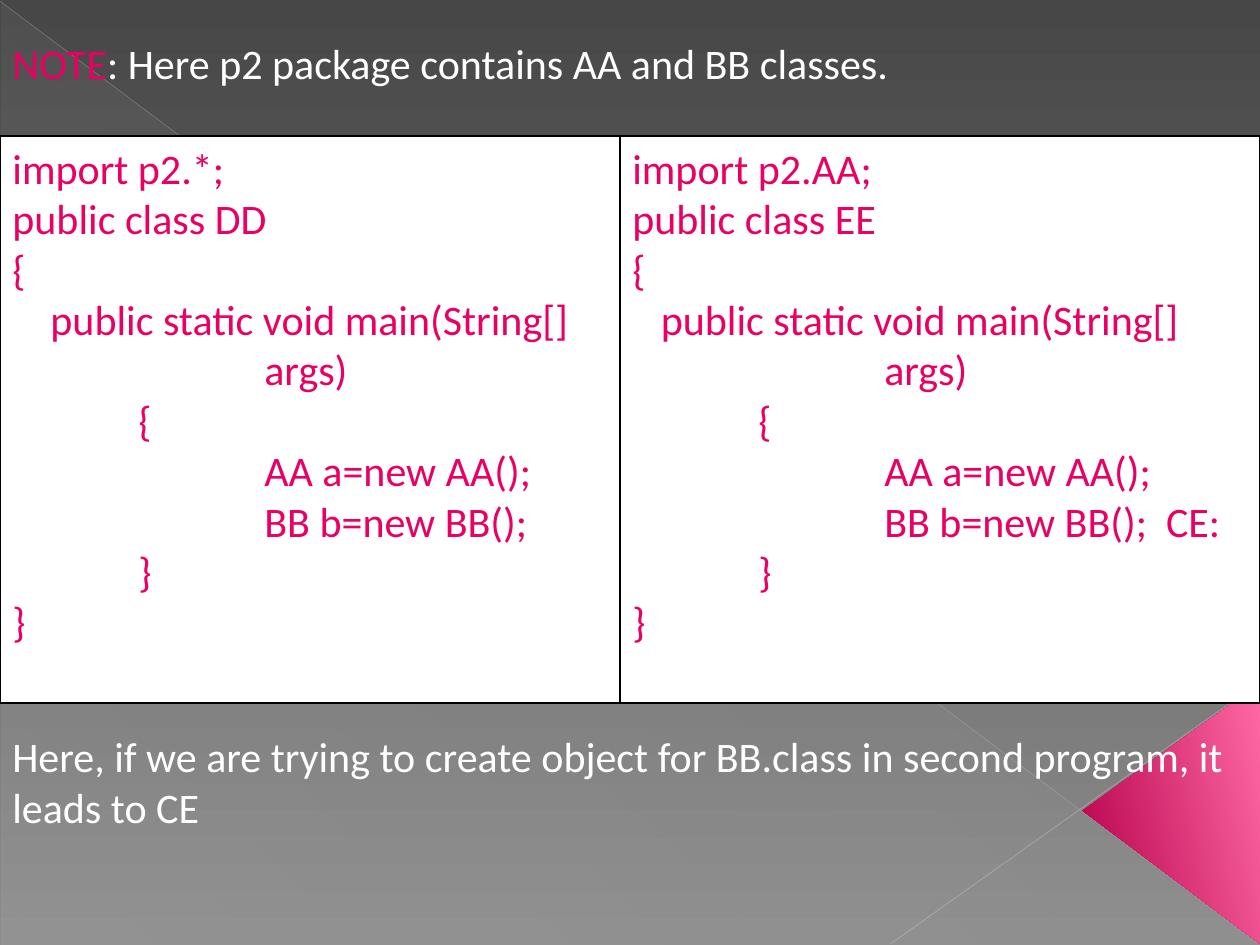
from lxml import etree
from pptx import Presentation
from pptx import util as u
from pptx.dml.color import RGBColor
from pptx.enum import shapes, text
from pptx.oxml.ns import qn

PINK, WHITE = "E90062", "FFFFFF"
CODE = """import p2.{pick};
public class {name}
{{
{pad}public static void main(String[] \t\t\t\targs)
\t{{
\t\tAA a=new AA();
\t\tBB b=new BB();{error}
\t}}
}}"""


def tint(color, code):
    """Set a colour from a hex string."""
    color.rgb = RGBColor.from_string(code)


def fade(shape, *shares):
    """Set the opacity in percent of each colour of a shape in turn."""
    for node, share in zip(shape.element.spPr.iter(qn("a:srgbClr")), shares):
        etree.SubElement(node, qn("a:alpha"), val=str(share * 1000))


def blend(fill, start, end, angle):
    """Fill with a two-colour gradient at a clockwise angle."""
    fill.gradient()
    for stop, code in zip(fill.gradient_stops, (start, end)):
        tint(stop.color, code)
    fill.gradient_angle = -angle % 360


def form(slide, kind, *box):
    """Add a preset shape without line or shadow."""
    shape = slide.shapes.add_shape(kind, *map(u.Inches, box))
    shape.shadow.inherit = False
    shape.line.fill.background()
    return shape


def rule(slide, ends, code, width, share):
    """Add a thin see-through line."""
    line = slide.shapes.add_connector(shapes.MSO_CONNECTOR.STRAIGHT, *map(u.Inches, ends))
    tint(line.line.color, code)
    line.line.width = u.Pt(width)
    fade(line, share)
    etree.SubElement(line.element.spPr, qn("a:effectLst"))


def write(shape, lines, size=24, font="Calibri"):
    """Write lines of (words, colour) runs with one-inch tab stops."""
    frame = shape.text_frame
    frame.word_wrap = True
    frame.vertical_anchor = text.MSO_ANCHOR.TOP
    for i, runs in enumerate(lines):
        para = frame.paragraphs[0] if i == 0 else frame.add_paragraph()
        para.alignment = text.PP_ALIGN.LEFT
        tabs = etree.SubElement(para._p.get_or_add_pPr(), qn("a:tabLst"))
        for stop in range(8):
            etree.SubElement(tabs, qn("a:tab"), pos=str(u.Inches(stop)), algn="l")
        for words, code in runs:
            run = para.add_run()
            run.text = words
            run.font.size, run.font.name = u.Pt(size), font
            tint(run.font.color, code)


def panel(slide, left, width, **parts):
    """Add a white framed box with a code listing."""
    box = form(slide, shapes.MSO_SHAPE.RECTANGLE, left, 1.08, width, 4.5)
    box.fill.solid()
    tint(box.fill.fore_color, WHITE)
    tint(box.line.color, "000000")
    box.line.width = u.Pt(0.75)
    write(box, [[(line, PINK)] for line in CODE.format(**parts).split("\n")])


def note(slide, top, width, height, *runs):
    """Add a text box with one paragraph."""
    box = slide.shapes.add_textbox(0, *map(u.Inches, (top, width, height)))
    write(box, [runs])


def decor(slide):
    """Draw the background, its lines and the corner triangle."""
    blend(slide.background.fill, "474747", "8C8C8C", 90)
    half = form(slide, shapes.MSO_SHAPE.RIGHT_TRIANGLE, 0.01, 0.02, 9.99, 7.48)
    blend(half.fill, "D2D2D2", "D2D2D2", 133)
    fade(half, 1, 10)
    rule(slide, (0, 0.01, 9.99, 7.49), "BFBFBF", 0.4, 35)
    rule(slide, (10, 5.41, 7.07, 7.49), "C6C6C6", 0.48, 45)
    tip = form(slide, shapes.MSO_SHAPE.ISOSCELES_TRIANGLE, 8.26, 5.75, 2.07, 1.41)
    tip.adjustments[0] = 0.51
    tip.rotation = 270
    blend(tip.fill, "B6004A", "FF69A4", 78)


def main():
    """Build and save the slide."""
    deck = Presentation()
    deck.slide_width, deck.slide_height = u.Inches(10), u.Inches(7.5)
    slide = deck.slides.add_slide(deck.slide_layouts.get_by_name("Blank"))
    decor(slide)
    split = 4.92
    panel(slide, 0, split, pick="*", name="DD", pad=" " * 4, error="")
    panel(slide, split, 10 - split, pick="AA", name="EE", pad=" " * 3, error="  CE:")
    note(slide, 0.25, 9.83, 0.5, ("NOTE", PINK),
         (": Here p2 package contains AA and BB classes.", WHITE))
    note(slide, 5.75, 10, 0.9,
         ("Here, if we are trying to create object for BB.class in second program, "
          "it leads to CE", WHITE))
    deck.save("out.pptx")


if __name__ == "__main__":
    main()
